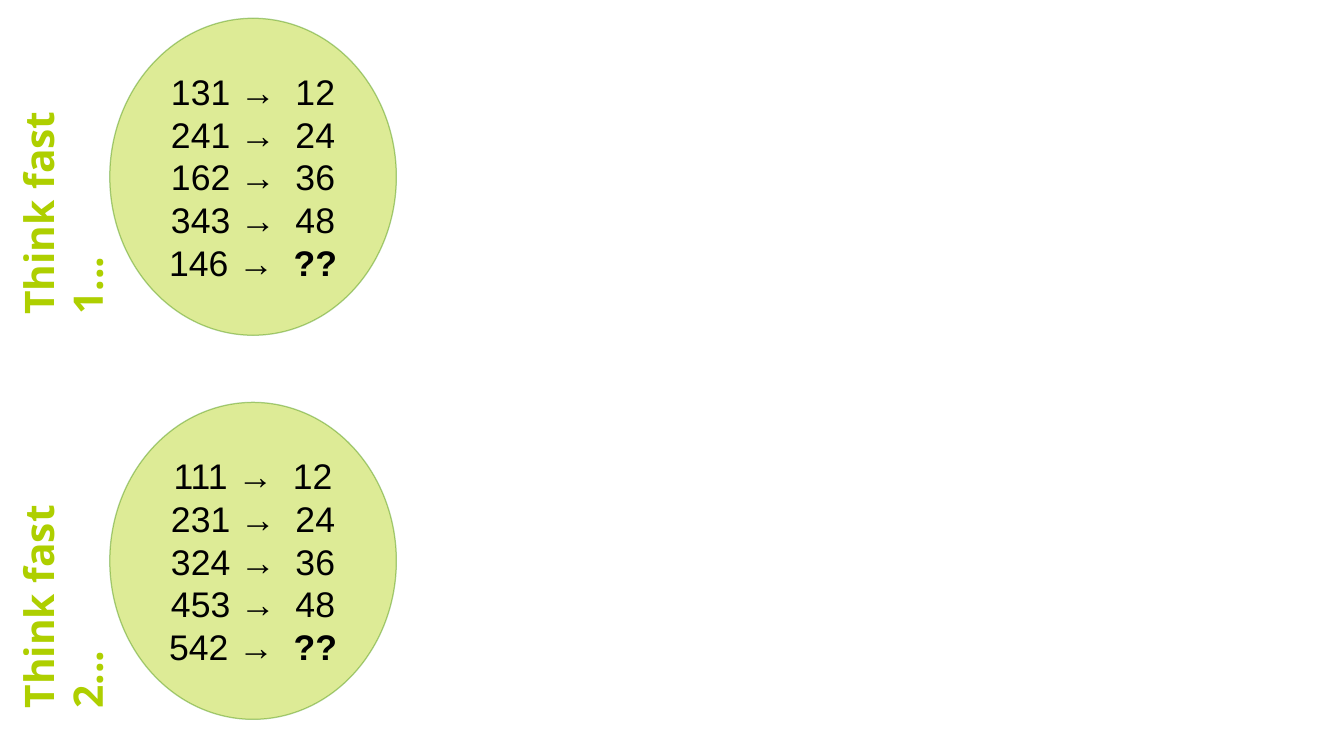
"""Build a slide with two number puzzles in ovals, each beside a vertical heading."""
from pptx import Presentation
from pptx.dml.color import RGBColor
from pptx.enum import shapes, text
from pptx.oxml.ns import qn
from pptx.util import Inches, Pt
from lxml import etree

PUZZLES = [
    {"heading": "Think fast 1...", "heading_top": 1.22, "oval_top": 0.15,
     "clues": [("131", "12"), ("241", "24"), ("162", "36"), ("343", "48"), ("146", "??")]},
    {"heading": "Think fast 2...", "heading_top": 4.45, "oval_top": 3.3,
     "clues": [("111", "12"), ("231", "24"), ("324", "36"), ("453", "48"), ("542", "??")]},
]
LIME = RGBColor(0xAE, 0xCF, 0x00)
GREEN = RGBColor(0x57, 0x9D, 0x1C)
BLACK = RGBColor(0, 0, 0)
OVAL_LEFT, OVAL_WIDTH, OVAL_HEIGHT = 0.9, 2.35, 2.6
HEADING_LEFT, HEADING_WIDTH, HEADING_HEIGHT = -0.7, 2.42, 0.52


def set_opacity(fill, percent):
    color = fill._xPr.find(qn("a:solidFill"))[0]
    etree.SubElement(color, qn("a:alpha"), val=str(percent * 1000))


def set_margins(frame, side, end):
    frame.margin_left = frame.margin_right = Inches(side)
    frame.margin_top = frame.margin_bottom = Inches(end)
    frame.vertical_anchor = text.MSO_ANCHOR.MIDDLE


def style(run, face, size, color, bold):
    run.font.name, run.font.size, run.font.bold = face, Pt(size), bold
    run.font.color.rgb = color


def add_oval(slide, top, clues):
    oval = slide.shapes.add_shape(
        shapes.MSO_SHAPE.OVAL, Inches(OVAL_LEFT), Inches(top),
        Inches(OVAL_WIDTH), Inches(OVAL_HEIGHT))
    oval.shadow.inherit = False
    oval.line.width = Pt(0)
    for fill, color, percent in ((oval.fill, LIME, 41), (oval.line.fill, GREEN, 50)):
        fill.solid()
        fill.fore_color.rgb = color
        set_opacity(fill, percent)
    frame = oval.text_frame
    set_margins(frame, 0.1, 0.05)
    for row, (number, answer) in enumerate(clues):
        clue = frame.add_paragraph() if row else frame.paragraphs[0]
        clue.alignment = text.PP_ALIGN.CENTER
        for words, bold in ((f"{number} →  ", False), (answer, answer == "??")):
            run = clue.add_run()
            run.text = words
            style(run, "Arial", 21, BLACK, bold)


def add_heading(slide, top, words):
    heading = slide.shapes.add_textbox(
        Inches(HEADING_LEFT), Inches(top), Inches(HEADING_WIDTH), Inches(HEADING_HEIGHT))
    heading.rotation = 270
    frame = heading.text_frame
    frame.word_wrap = False
    set_margins(frame, 0.11, 0.06)
    frame.text = words
    style(frame.paragraphs[0].runs[0], "Noto Sans", 24, LIME, True)


def main():
    deck = Presentation()
    deck.slide_width, deck.slide_height = Inches(11.02), Inches(6.2)
    slide = deck.slides.add_slide(deck.slide_layouts[6])
    for puzzle in PUZZLES:
        add_oval(slide, puzzle["oval_top"], puzzle["clues"])
        add_heading(slide, puzzle["heading_top"], puzzle["heading"])
    deck.save("out.pptx")


if __name__ == "__main__":
    main()
